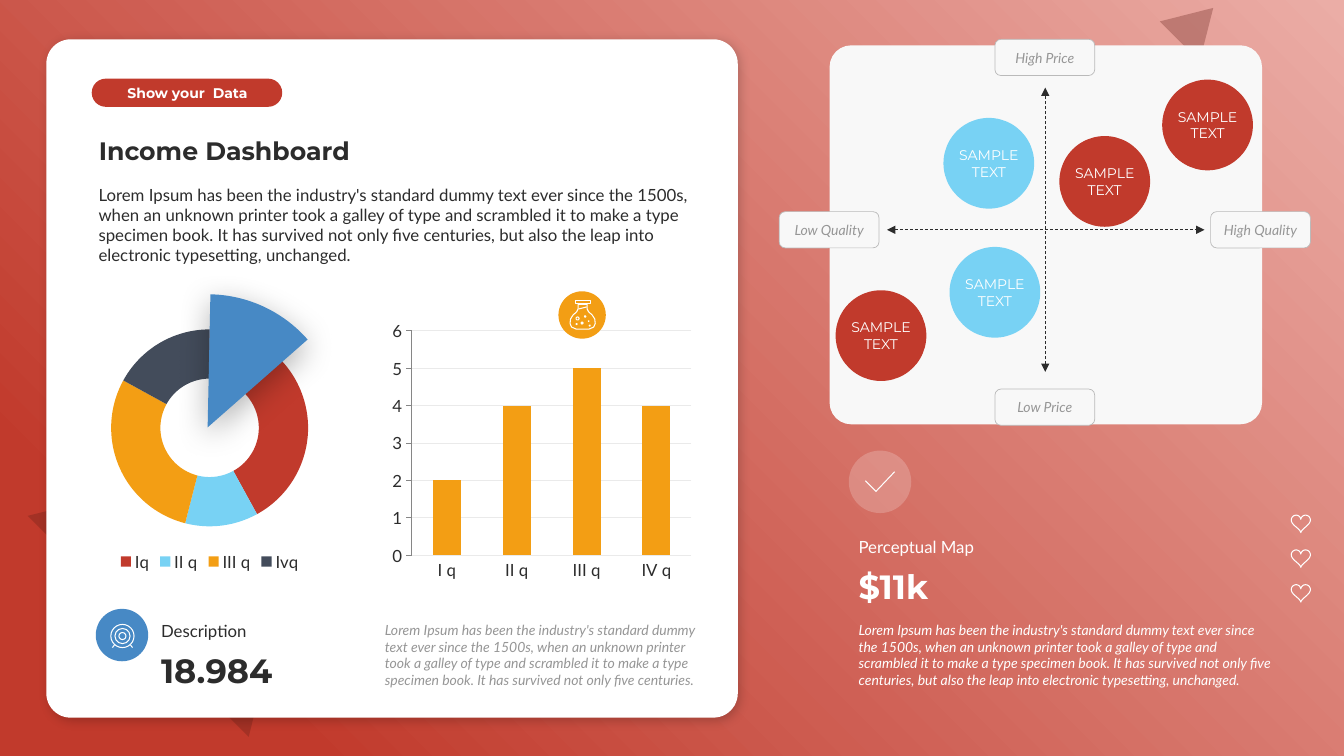
from math import cos, pi, sin

from lxml import etree
from pptx import Presentation
from pptx.chart.data import CategoryChartData
from pptx.dml.color import RGBColor
from pptx.enum.chart import XL_CHART_TYPE, XL_LEGEND_POSITION, XL_TICK_MARK
from pptx.enum.dml import MSO_LINE
from pptx.enum.shapes import MSO_CONNECTOR, MSO_SHAPE
from pptx.enum.text import MSO_ANCHOR, PP_ALIGN
from pptx.oxml.ns import qn
from pptx.util import Inches, Pt

RECTANGLE, ROUNDED = MSO_SHAPE.RECTANGLE, MSO_SHAPE.ROUNDED_RECTANGLE
OVAL, TRIANGLE, ARC = MSO_SHAPE.OVAL, MSO_SHAPE.ISOSCELES_TRIANGLE, MSO_SHAPE.ARC
LEFT, CENTER = PP_ALIGN.LEFT, PP_ALIGN.CENTER
TOP, MIDDLE, BOTTOM = MSO_ANCHOR.TOP, MSO_ANCHOR.MIDDLE, MSO_ANCHOR.BOTTOM
DOUGHNUT, COLUMN = XL_CHART_TYPE.DOUGHNUT, XL_CHART_TYPE.COLUMN_CLUSTERED

CELL = Inches(0.1)
COLUMNS, ROWS = 133.33, 75
CARD_TEXT, MAP_TEXT = 8.8, 84.2
RED, SKY, ORANGE, SLATE, BLUE = "C13A2C", "78D2F4", "F39E14", "434C5B", "4789C5"
WHITE, PALE, DARK, GRAY, MAROON = "FFFFFF", "F8F8F8", "2C2C2C", "969696", "601D16"
LOREM = (
    "Lorem Ipsum has been the industry's standard dummy text ever since the 1500s, "
    "when an unknown printer took a galley of type and scrambled it to make a type "
    "specimen book. It has survived not only five centuries"
)
LEAP = ", but also the leap into electronic typesetting, unchanged."

color = RGBColor.from_string
presentation = Presentation()
presentation.slide_width = round(COLUMNS * CELL)
presentation.slide_height = ROWS * CELL
slide = presentation.slides.add_slide(presentation.slide_layouts[5])
shapes = slide.shapes


def draw(kind, box, fill=None, alpha=100, line=None, width=0.5, rotation=0,
         adjustments=(), shadow=None):
    shape = shapes.add_shape(kind, *[round(n * CELL) for n in box])
    shape.rotation = rotation
    shape.shadow.inherit = False
    for index, value in enumerate(adjustments):
        shape.adjustments[index] = value
    if fill:
        shape.fill.solid()
        shape.fill.fore_color.rgb = color(fill)
    else:
        shape.fill.background()
    if alpha < 100:
        tone = shape.element.spPr.find(".//" + qn("a:srgbClr"))
        etree.SubElement(tone, qn("a:alpha"), val=str(alpha * 1000))
    if line:
        shape.line.color.rgb = color(line)
        shape.line.width = Pt(width)
    else:
        shape.line.fill.background()
    if shadow:
        opacity, blur, distance, angle = shadow
        outer = etree.SubElement(
            shape.element.spPr.find(qn("a:effectLst")), qn("a:outerShdw"),
            blurRad=str(Pt(blur)), dist=str(Pt(distance)), dir=str(angle * 60000),
            algn="ctr", rotWithShape="0")
        tone = etree.SubElement(outer, qn("a:srgbClr"), val="000000")
        etree.SubElement(tone, qn("a:alpha"), val=str(opacity * 1000))
    return shape


def write(text, box=None, shape=None, size=12, font="Lato", tone=DARK, bold=False,
          italic=False, align=LEFT, anchor=TOP, side_inset=1, space_after=0):
    if shape is None:
        shape = shapes.add_textbox(*[round(n * CELL) for n in box])
    frame = shape.text_frame
    frame.word_wrap = True
    frame.vertical_anchor = anchor
    frame.margin_left = frame.margin_right = round(side_inset * CELL)
    paragraph = frame.paragraphs[0]
    paragraph.alignment = align
    paragraph.space_after = Pt(space_after)
    run = paragraph.add_run()
    run.text = text
    run.font.size, run.font.name = Pt(size), font
    run.font.bold, run.font.italic = bold, italic
    run.font.color.rgb = color(tone)


backdrop = draw(RECTANGLE, (0, 0, COLUMNS, ROWS))
backdrop.fill.gradient()
gradient = backdrop.element.spPr.find(qn("a:gradFill"))
for child in list(gradient):
    gradient.remove(child)
stops = etree.SubElement(gradient, qn("a:gsLst"))
for position, tone in ((0, "EBADA6"), (85, RED)):
    stop = etree.SubElement(stops, qn("a:gs"), pos=str(position * 1000))
    etree.SubElement(stop, qn("a:srgbClr"), val=tone)
radial = etree.SubElement(gradient, qn("a:path"), path="circle")
etree.SubElement(radial, qn("a:fillToRect"), l="100000", b="100000")

for box in ((7.3, 40.2, 31, 25.7), (115.9, 0.1, 5.6, 4.7)):
    draw(TRIANGLE, box, MAROON, alpha=30, rotation=45)
card = draw(ROUNDED, (4.6, 3.9, 68.6, 67.3), WHITE, adjustments=[0.036],
            shadow=(20, 8, 3, 45))

title = shapes.title
card.element.addnext(title.element)
title.left, title.top, title.width, title.height = [
    round(n * CELL) for n in (CARD_TEXT, 12.9, 61.6, 4)]
write("Income Dashboard", shape=title, size=18, font="Montserrat", bold=True, anchor=BOTTOM)
write(LOREM + LEAP, (CARD_TEXT, 17.8, 61.6, 9.1), space_after=6)
draw(ROUNDED, (9.1, 7.8, 18.9, 2.8), RED, adjustments=[0.5])
write("Show your  Data", (9.9, 7.9, 17.4, 2.7), size=10, font="Montserrat", tone=WHITE,
      bold=True, align=CENTER, anchor=MIDDLE)

charts = []
for kind, box, categories, values in (
    (DOUGHNUT, (6.6, 31.3, 28.4, 25.8), ("Iq", "II q", "III q", "Ivq"), (42, 12, 29, 17)),
    (COLUMN, (38.3, 31.3, 30.9, 26.7), ("I q", "II q", "III q", "IV q"), (2, 4, 5, 4)),
):
    data = CategoryChartData()
    data.categories = categories
    data.add_series("Series 1", values)
    chart = shapes.add_chart(kind, *[round(n * CELL) for n in box], data).chart
    chart.has_title = False
    chart.has_legend = kind == DOUGHNUT
    chart.font.size, chart.font.name = Pt(12), "Lato"
    chart.font.color.rgb = color(DARK)
    charts.append(chart)
share_chart, income_chart = charts

share_chart.legend.position = XL_LEGEND_POSITION.BOTTOM
share_chart.legend.include_in_layout = False
for index, tone in enumerate((RED, SKY, ORANGE, SLATE)):
    slice_fill = share_chart.plots[0].series[0].points[index].format.fill
    slice_fill.solid()
    slice_fill.fore_color.rgb = color(tone)

income = income_chart.plots[0]
income.gap_width = 150
income.vary_by_categories = False
income.series[0].format.fill.solid()
income.series[0].format.fill.fore_color.rgb = color(ORANGE)
income_chart.category_axis.major_tick_mark = XL_TICK_MARK.NONE
income_chart.category_axis.format.line.fill.background()
value_axis = income_chart.value_axis
value_axis.major_tick_mark = XL_TICK_MARK.OUTSIDE
for line, tone in ((value_axis.format.line, "868686"),
                   (value_axis.major_gridlines.format.line, "EAEAEA")):
    line.color.rgb = color(tone)
    line.width = Pt(0.75)

draw(ARC, (7.4, 29.2, 26.4, 26.4), BLUE, adjustments=[162.72, 191.22],
     shadow=(30, 23, 6, 90))
draw(OVAL, (9.5, 60.4, 5.2, 5.2), BLUE)
draw(OVAL, (55.4, 28.9, 4.7, 4.7), ORANGE)
draw(ROUNDED, (82.3, 4.5, 42.9, 37.6), PALE, adjustments=[0.057])
draw(OVAL, (MAP_TEXT, 44.7, 6.2, 6.2), WHITE, alpha=20)

for left, top, width, label, value, tone in (
    (15, 61.1, 18.6, "Description", "18.984", DARK),
    (MAP_TEXT, 52.7, 43.4, "Perceptual Map", "$11k", WHITE),
):
    write(label, (left, top, width, 3), tone=tone, anchor=BOTTOM)
    write(value, (left, top + 2.9, width, 5), size=24, font="Montserrat", tone=tone,
          bold=True, anchor=BOTTOM)
for left, width, text, tone in ((37.2, 33.2, LOREM + ".", GRAY),
                                (MAP_TEXT, 43.4, LOREM + LEAP, WHITE)):
    write(text, (left, 61.15, width, 7.7), size=10, tone=tone, italic=True, space_after=6)

for ends in ((88, 22.8, 119.5, 22.8), (103.7, 36.9, 103.7, 8.7)):
    axis = shapes.add_connector(MSO_CONNECTOR.STRAIGHT, *[round(n * CELL) for n in ends])
    axis.line.color.rgb = color(DARK)
    axis.line.width = Pt(0.5)
    axis.line.dash_style = MSO_LINE.DASH
    for end in ("a:headEnd", "a:tailEnd"):
        etree.SubElement(axis.element.spPr.find(qn("a:ln")), qn(end), type="triangle")
    etree.SubElement(axis.element.spPr, qn("a:effectLst"))

for left, top, label in ((98.7, 3.9, "High Price"), (98.7, 38.6, "Low Price"),
                         (77.3, 21, "Low Quality"), (120.1, 21, "High Quality")):
    tag = draw(ROUNDED, (left, top, 9.9, 3.6), PALE, line="BABABA")
    write(label, shape=tag, size=10, tone=GRAY, italic=True, align=CENTER, anchor=MIDDLE)
for left, top, tone in ((93.6, 11.7, SKY), (94.2, 24.5, SKY), (82.9, 28.8, RED),
                        (105.1, 13.5, RED), (115.3, 7.9, RED)):
    bubble = draw(OVAL, (left, top, 9, 9), tone)
    write("SAMPLE TEXT", shape=bubble, size=10, font="Montserrat", tone=WHITE,
          align=CENTER, anchor=MIDDLE, side_inset=0)

for x, y, radius in ((12.15, 63.1, 1.15), (12.15, 63.1, 0.75), (12.15, 63.1, 0.35),
                     (57.3, 31.6, 0.15)):
    draw(OVAL, (x - radius, y - radius, 2 * radius, 2 * radius), line=WHITE, width=0.75)
for x, y, radius in ((58.05, 31.4, 0.12), (57.75, 32.05, 0.15), (58.5, 32.3, 0.1),
                     (58.4, 31.85, 0.08), (57.2, 32.15, 0.1)):
    draw(OVAL, (x - radius, y - radius, 2 * radius, 2 * radius), WHITE)

flask_half = [(0.45, 30.2), (0.45, 30.65), (0.6, 30.95), (0.95, 31.25), (1.2, 31.65),
              (1.25, 32.1), (1.1, 32.45), (0.65, 32.65)]
flask = [(57.8 - x, y) for x, y in flask_half] + [(57.8 + x, y) for x, y in flask_half[::-1]]
lip = [(57.05, 29.85), (58.55, 29.85), (58.55, 30.15), (57.05, 30.15)]
turns = [2 * pi * step / 48 for step in range(48)]
outlines = [
    (flask, True), (lip, True), ([(57.4, 30.65), (58.2, 30.45)], False),
    ([(11.35, 64), (11.15, 64.25)], False), ([(12.95, 64), (13.15, 64.25)], False),
    ([(85.85, 47.7), (86.9, 48.75), (88.75, 46.8)], False),
]
for row in range(3):
    heart = [(129.05 + 0.95 * sin(t) ** 3,
              51.1 + 3.45 * row + 0.06 * (12 - 13 * cos(t) + 5 * cos(2 * t)
                                          + 2 * cos(3 * t) + cos(4 * t)))
             for t in turns]
    outlines.append((heart, True))
for points, closed in outlines:
    corners = [(round(x * CELL), round(y * CELL)) for x, y in points]
    builder = shapes.build_freeform(*corners[0])
    builder.add_line_segments(corners[1:], close=closed)
    icon = builder.convert_to_shape()
    icon.shadow.inherit = False
    icon.fill.background()
    icon.line.color.rgb = color(WHITE)
    icon.line.width = Pt(0.75)

presentation.save("out.pptx")
